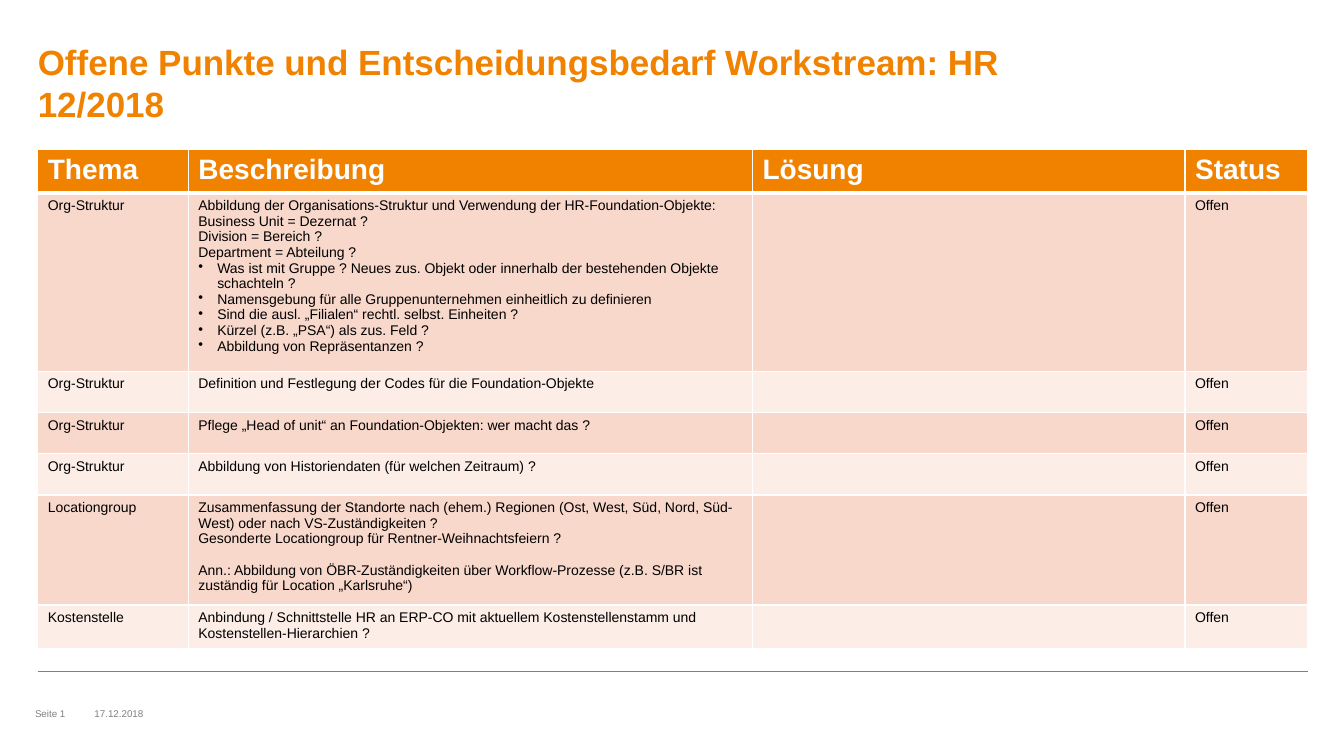
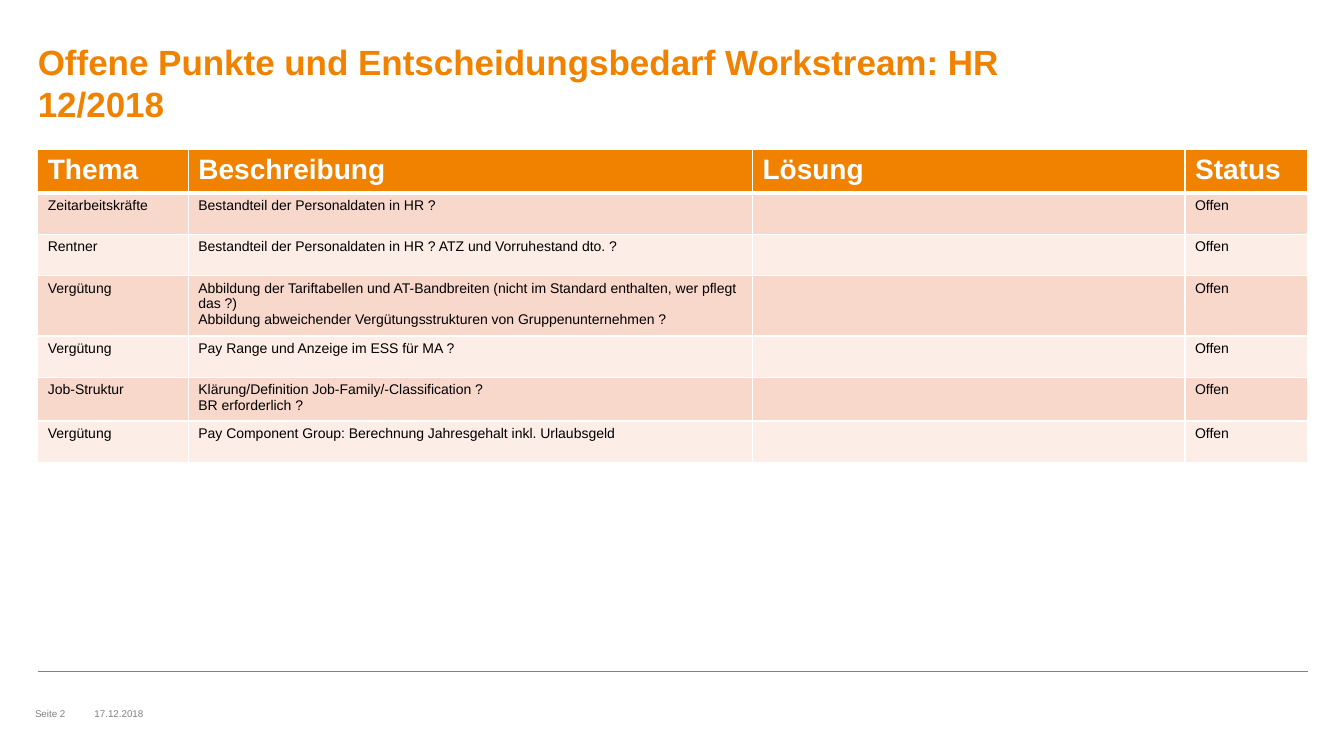
from lxml.etree import SubElement
from pptx import Presentation
from pptx.dml.color import RGBColor
from pptx.enum.shapes import MSO_CONNECTOR
from pptx.enum.text import MSO_ANCHOR, PP_ALIGN
from pptx.oxml.ns import qn
from pptx.util import Pt

ORANGE = RGBColor(0xF0, 0x82, 0x00)
ROSE = RGBColor(0xF9, 0xD8, 0xCC)
PALE = RGBColor(0xFC, 0xED, 0xE7)
GRAY = RGBColor(0x80, 0x80, 0x80)
WHITE = RGBColor(0xFF, 0xFF, 0xFF)
BLACK = RGBColor(0x00, 0x00, 0x00)

FONT = "Arial"
LEFT, WIDTH = 27, 907
COLS = (107.5, 403, 309, 87.5)
ROW = 29.5
TITLE = "Offene Punkte und Entscheidungsbedarf Workstream: HR\v12/2018"
HEADS = ("Thema", "Beschreibung", "Lösung", "Status")
DATE = "17.12.2018"
STATE = "Offen"
BULLET, GAP = "• ", "↓ "

ORG = [
    ("Org-Struktur", [
        "Abbildung der Organisations-Struktur und Verwendung der HR-Foundation-Objekte:",
        "Business Unit = Dezernat ?",
        "Division = Bereich ?",
        "Department = Abteilung ?",
        "• Was ist mit Gruppe ? Neues zus. Objekt oder innerhalb der bestehenden Objekte schachteln ?",
        "• Namensgebung für alle Gruppenunternehmen einheitlich zu definieren",
        "• Sind die ausl. „Filialen“ rechtl. selbst. Einheiten ?",
        "• Kürzel (z.B. „PSA“) als zus. Feld ?",
        "• Abbildung von Repräsentanzen ?",
    ]),
    ("Org-Struktur", ["Definition und Festlegung der Codes für die Foundation-Objekte"]),
    ("Org-Struktur", ["Pflege „Head of unit“ an Foundation-Objekten: wer macht das ?"]),
    ("Org-Struktur", ["Abbildung von Historiendaten (für welchen Zeitraum) ?"]),
    ("Locationgroup", [
        "Zusammenfassung der Standorte nach (ehem.) Regionen (Ost, West, Süd, Nord, Süd-West) "
        "oder nach VS-Zuständigkeiten ?",
        "Gesonderte Locationgroup für Rentner-Weihnachtsfeiern ?",
        "↓ Ann.: Abbildung von ÖBR-Zuständigkeiten über Workflow-Prozesse (z.B. S/BR ist "
        "zuständig für Location „Karlsruhe“)",
    ]),
    ("Kostenstelle", [
        "Anbindung / Schnittstelle HR an ERP-CO mit aktuellem Kostenstellenstamm und "
        "Kostenstellen-Hierarchien ?",
    ]),
]
STAFF = [
    ("Zeitarbeitskräfte", ["Bestandteil der Personaldaten in HR ?"]),
    ("Rentner", ["Bestandteil der Personaldaten in HR ? ATZ und Vorruhestand dto. ?"]),
    ("Vergütung", [
        "Abbildung der Tariftabellen und AT-Bandbreiten (nicht im Standard enthalten, wer pflegt das ?)",
        "Abbildung abweichender Vergütungsstrukturen von Gruppenunternehmen ?",
    ]),
    ("Vergütung", ["Pay Range und Anzeige im ESS für MA ?"]),
    ("Job-Struktur", ["Klärung/Definition Job-Family/-Classification ?", "BR erforderlich ?"]),
    ("Vergütung", ["Pay Component Group: Berechnung Jahresgehalt inkl. Urlaubsgeld"]),
]


def style(para, size, color, bold=False):
    para.alignment = PP_ALIGN.LEFT
    font = para.font
    font.name, font.size, font.bold = FONT, Pt(size), bold
    font.color.rgb = color


def place(shape, left, top, width, height):
    shape.left, shape.top = Pt(left), Pt(top)
    shape.width, shape.height = Pt(width), Pt(height)


def set_frame(frame, anchor):
    frame.word_wrap = True
    frame.vertical_anchor = anchor
    frame.margin_left = frame.margin_right = 0
    frame.margin_top = frame.margin_bottom = 0


def set_title(slide):
    title = slide.shapes.title
    place(title, LEFT, 29, WIDTH, 73.5)
    frame = title.text_frame
    set_frame(frame, MSO_ANCHOR.TOP)
    frame.text = TITLE
    para = frame.paragraphs[0]
    style(para, 25, ORANGE, True)
    para.line_spacing = Pt(30)


def add_note(slide, text, left, width):
    box = slide.shapes.add_textbox(Pt(left), Pt(504), Pt(width), Pt(11.5))
    set_frame(box.text_frame, MSO_ANCHOR.MIDDLE)
    box.text_frame.text = text
    style(box.text_frame.paragraphs[0], 7, GRAY)


def add_rule(slide):
    rule = slide.shapes.add_connector(
        MSO_CONNECTOR.STRAIGHT, Pt(LEFT), Pt(479.5), Pt(LEFT + WIDTH), Pt(479.5))
    rule.line.color.rgb = GRAY
    rule.line.width = Pt(0.5)
    SubElement(rule._element.spPr, qn("a:effectLst"))


def add_edges(cell, base):
    props = cell._tc.get_or_add_tcPr()
    for side, width in (("L", 1), ("R", 1), ("T", 1), ("B", base)):
        edge = SubElement(props, qn("a:ln" + side), w=str(Pt(width)))
        fill = SubElement(edge, qn("a:solidFill"))
        SubElement(fill, qn("a:srgbClr"), val=str(WHITE))


def add_bullet(para):
    props = para._p.get_or_add_pPr()
    props.set("marL", str(Pt(13.5)))
    props.set("indent", str(-Pt(13.5)))
    SubElement(props, qn("a:buChar"), char=BULLET.strip())


def fill_cell(cell, lines, fill, size, color, head=False):
    add_edges(cell, 3 if head else 1)
    cell.fill.solid()
    cell.fill.fore_color.rgb = fill
    frame = cell.text_frame
    for num, line in enumerate(lines):
        para = frame.add_paragraph() if num else frame.paragraphs[0]
        para.text = line.removeprefix(BULLET).removeprefix(GAP)
        if line.startswith(BULLET):
            add_bullet(para)
        style(para, size, color, head)
        if line.startswith(GAP):
            para.space_before = Pt(11.2)


def add_topics(slide, topics):
    count = len(topics) + 1
    table = slide.shapes.add_table(
        count, len(COLS), Pt(LEFT), Pt(106.5), Pt(WIDTH), Pt(ROW * count)).table
    for col, width in zip(table.columns, COLS):
        col.width = Pt(width)
    for row in table.rows:
        row.height = Pt(ROW)
    for col, head in enumerate(HEADS):
        fill_cell(table.cell(0, col), [head], ORANGE, 20, WHITE, True)
    for row, (topic, lines) in enumerate(topics, 1):
        fill = ROSE if row % 2 else PALE
        for col, text in enumerate(([topic], lines, [], [STATE])):
            fill_cell(table.cell(row, col), text, fill, 10, BLACK)


def add_page(deck, num, topics):
    slide = deck.slides.add_slide(deck.slide_layouts[5])
    add_rule(slide)
    set_title(slide)
    add_note(slide, DATE, 67.5, 43)
    add_note(slide, f"Seite {num}", 25, 39.5)
    add_topics(slide, topics)


def main():
    deck = Presentation()
    deck.slide_width, deck.slide_height = Pt(960), Pt(540)
    for num, topics in enumerate((ORG, STAFF), 1):
        add_page(deck, num, topics)
    deck.save("out.pptx")


if __name__ == "__main__":
    main()
